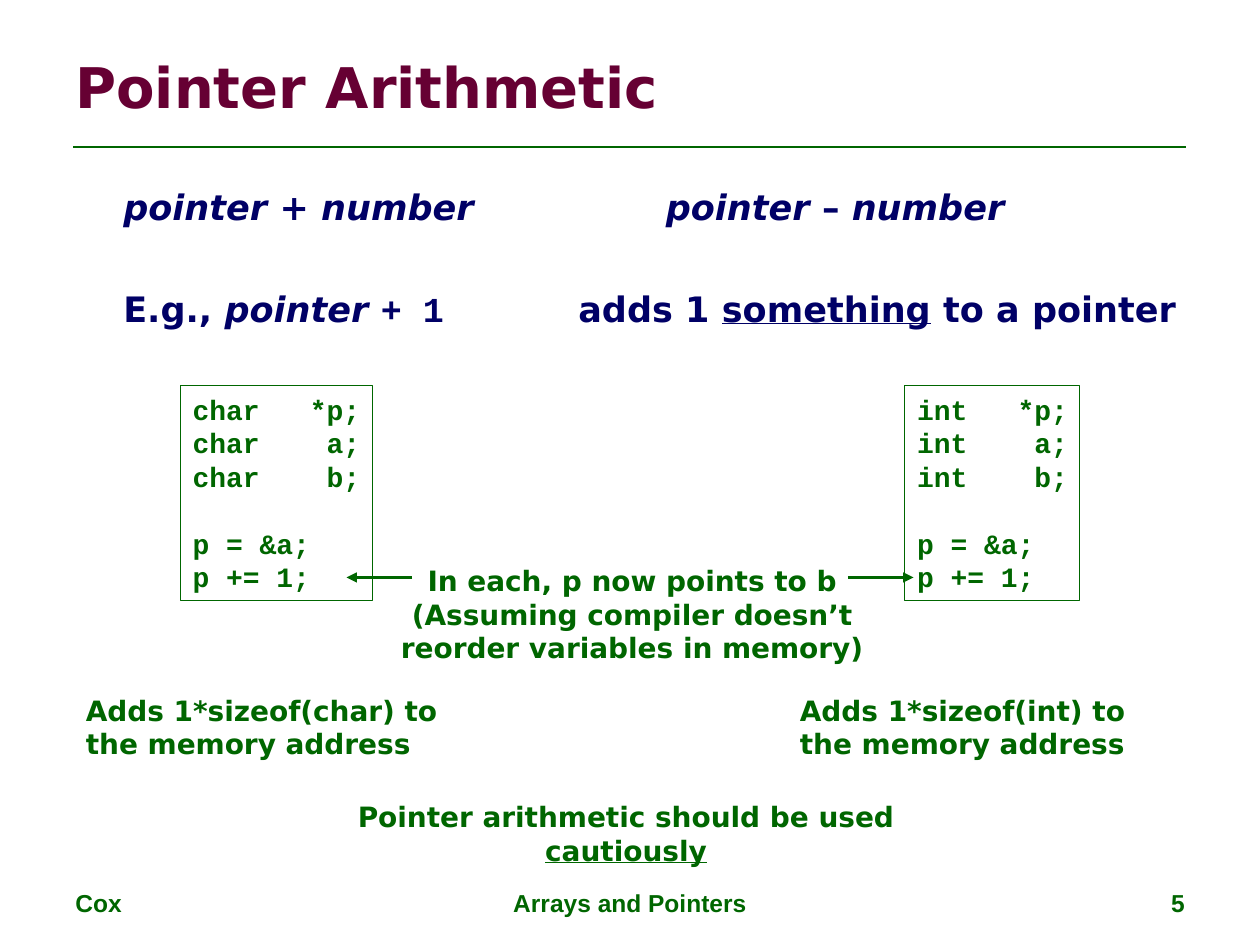
from lxml import etree
from pptx import Presentation
from pptx import util as u
from pptx.dml.color import RGBColor
from pptx.enum import shapes, text
from pptx.oxml.ns import qn

GREEN, MAROON, NAVY = "006600", "660033", "000066"
SANS, MONO, FOOTER_FONT = "DejaVu Sans", "Courier New", "Arial"
LEFT, CENTER, RIGHT = text.PP_ALIGN.LEFT, text.PP_ALIGN.CENTER, text.PP_ALIGN.RIGHT


def color(hex_code):
    return RGBColor.from_string(hex_code)


def style(run, size, font, hex_code, italic=False, underline=False):
    run.font.size = u.Pt(size)
    run.font.name = font
    run.font.bold = True
    run.font.italic = italic
    run.font.underline = underline
    run.font.color.rgb = color(hex_code)


def prepare_frame(frame, wrap=True, anchor=text.MSO_ANCHOR.TOP):
    frame.word_wrap = wrap
    frame.vertical_anchor = anchor
    frame.margin_left = frame.margin_right = u.Pt(7.2)
    frame.margin_top = frame.margin_bottom = u.Pt(3.6)


def add_text(slide, box, content, size=16, font=SANS, hex_code=GREEN,
             align=LEFT, anchor=text.MSO_ANCHOR.TOP):
    frame = slide.shapes.add_textbox(*map(u.Pt, box)).text_frame
    prepare_frame(frame, anchor=anchor)
    frame.text = content
    for paragraph in frame.paragraphs:
        paragraph.alignment = align
        for run in paragraph.runs:
            style(run, size, font, hex_code)
    return frame


def add_line(slide, start, end, width, arrow=False):
    line = slide.shapes.add_connector(
        shapes.MSO_CONNECTOR.STRAIGHT, *map(u.Pt, start + end))
    line.line.color.rgb = color(GREEN)
    line.line.width = u.Pt(width)
    if arrow:
        etree.SubElement(line.line._get_or_add_ln(), qn("a:tailEnd"), type="triangle")
    etree.SubElement(line._element.spPr, qn("a:effectLst"))


def add_code(slide, left, width, declarations, statements):
    """Draw a framed listing with a one-line gap before the statements."""
    listing = slide.shapes.add_shape(
        shapes.MSO_SHAPE.RECTANGLE, *map(u.Pt, (left, 220.5, width, 122.5)))
    listing.shadow.inherit = False
    listing.fill.background()
    listing.line.color.rgb = color(GREEN)
    listing.line.width = u.Pt(0.75)
    frame = listing.text_frame
    prepare_frame(frame, wrap=False)
    frame.text = "\n".join(declarations + statements)
    for paragraph in frame.paragraphs:
        paragraph.alignment = LEFT
        style(paragraph.runs[0], 16, MONO, GREEN)
    frame.paragraphs[len(declarations)].space_before = u.Pt(19)


def add_body(slide, box, rows):
    """Write rows of (tab stop, runs); each run is its text and style options."""
    frame = slide.shapes.add_textbox(*map(u.Pt, box)).text_frame
    prepare_frame(frame)
    frame.margin_left = u.Pt(34.5)
    for index, (tab_stop, pieces) in enumerate(rows):
        paragraph = frame.add_paragraph() if index else frame.paragraphs[0]
        tabs = etree.SubElement(paragraph._p.get_or_add_pPr(), qn("a:tabLst"))
        etree.SubElement(tabs, qn("a:tab"), pos=str(u.Pt(tab_stop)), algn="l")
        if index:
            paragraph.space_before = u.Pt(34)
        for content, options in pieces:
            run = paragraph.add_run()
            run.text = content
            style(run, 20, hex_code=NAVY, **{"font": SANS, **options})


def main():
    deck = Presentation()
    deck.slide_width, deck.slide_height = u.Pt(720), u.Pt(540)
    slide = deck.slides.add_slide(deck.slide_layouts[6])

    add_line(slide, (42, 84), (678, 84), 1.5)
    for left, width, label, align in [
        (36, 168, "Cox", LEFT),
        (246, 228, "Arrays and Pointers", CENTER),
        (516, 168, "5", RIGHT),
    ]:
        add_text(slide, (left, 504, width, 25), label, 14, FOOTER_FONT, align=align)

    add_text(slide, (36, 21.5, 648, 56), "Pointer Arithmetic", 32,
             hex_code=MAROON, anchor=text.MSO_ANCHOR.MIDDLE)

    italic = {"italic": True}
    add_body(slide, (36, 102.5, 648, 123), [
        (310, [("pointer", italic), (" + ", {}), ("number\tpointer", italic),
               (" – ", {}), ("number", italic)]),
        (260, [("E.g., ", {}), ("pointer ", italic), ("+ 1\t", {"font": MONO}),
               ("adds 1 ", {}), ("something", {"underline": True}),
               (" to a pointer", {})]),
    ])

    statements = ["p = &a;", "p += 1;"]
    add_code(slide, 103, 110, ["char   *p;", "char    a;", "char    b;"], statements)
    add_code(slide, 517, 100, ["int   *p;", "int    a;", "int    b;"], statements)

    add_text(slide, (212.5, 318.5, 297.5, 65),
             "In each, p now points to b\n"
             "(Assuming compiler doesn’t reorder variables in memory)", align=CENTER)
    for start, end in [(235.5, 198), (484.5, 522)]:
        add_line(slide, (start, 330), (end, 330), 1.25, arrow=True)

    for left, width, kind in [(42, 227.5, "char"), (450, 220.5, "int")]:
        add_text(slide, (left, 392.5, width, 46),
                 f"Adds 1*sizeof({kind}) to the memory address")

    caution = add_text(slide, (172, 453.5, 371.5, 46),
                       "Pointer arithmetic should be used ", align=CENTER)
    warning = caution.paragraphs[0].add_run()
    warning.text = "cautiously"
    style(warning, 16, SANS, GREEN, underline=True)

    deck.save("out.pptx")


if __name__ == "__main__":
    main()
